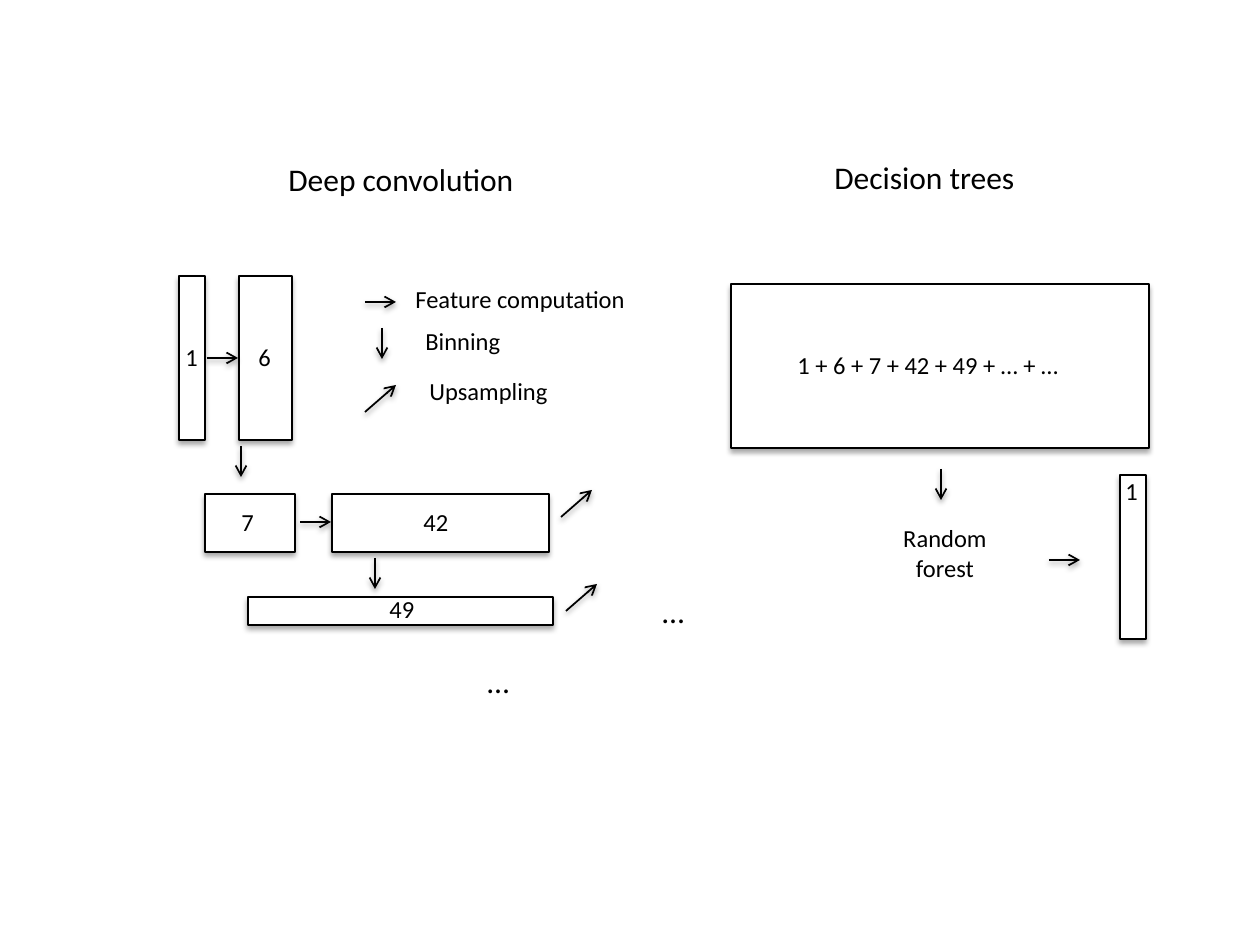
from lxml.etree import SubElement
from pptx import Presentation
from pptx.dml.color import RGBColor
from pptx.enum.shapes import MSO_CONNECTOR, MSO_SHAPE
from pptx.enum.text import MSO_AUTO_SIZE, PP_ALIGN
from pptx.oxml.ns import qn
from pptx.util import Emu, Pt

SCALE = 914400 / 126
BLACK, WHITE = "000000", "FFFFFF"

BOXES = [
    (179, 276, 26, 164),
    (239, 276, 53, 164),
    (205, 494, 90, 58),
    (332, 494, 217, 58),
    (248, 597, 305, 28),
    (731, 284, 418, 164),
    (1120, 475, 26, 164),
]
STEPS = {"right": (31, 0), "down": (0, 31), "up": (31, -27)}
ARROWS = {
    "right": [(207, 358), (365, 302), (300, 522), (1049, 560)],
    "down": [(382, 328), (241, 446), (375, 558), (941, 469)],
    "up": [(365, 412), (561, 517), (566, 611)],
}
LABELS = [
    ("1", 173, 336, 38),
    ("6", 246, 336, 38),
    ("7", 229, 501, 38),
    ("42", 411, 501, 50),
    ("49", 377, 588, 50),
    ("Feature computation", 403, 278, 238),
    ("Binning", 413, 320, 101),
    ("Upsampling", 417, 370, 145),
    ("1 + 6 + 7 + 42 + 49 + … + …", 785, 344, 289),
    ("Random\nforest", 890, 517, 110),
    ("1", 1113, 470, 38),
]
HEADS = [
    ("Deep convolution", 276, 154, 253),
    ("Decision trees", 822, 152, 208),
    ("…", 650, 586, 48),
    ("…", 475, 656, 48),
]


def px(*nums):
    return [Emu(round(n * SCALE)) for n in nums]


def color(code):
    return RGBColor.from_string(code)


def shade(shape, dist, alpha):
    props = shape._element.spPr
    effect = props.find(qn("a:effectLst"))
    if effect is None:
        effect = SubElement(props, qn("a:effectLst"))
    outer = SubElement(effect, qn("a:outerShdw"), blurRad=str(Pt(3.1)),
                       dist=str(Pt(dist)), dir="5400000", rotWithShape="0")
    tone = SubElement(outer, qn("a:srgbClr"), val=BLACK)
    SubElement(tone, qn("a:alpha"), val=str(alpha * 1000))


def stroke(shape, width):
    shape.line.color.rgb = color(BLACK)
    shape.line.width = Pt(width)


def box(slide, place):
    shape = slide.shapes.add_shape(MSO_SHAPE.RECTANGLE, *px(*place))
    shape.fill.solid()
    shape.fill.fore_color.rgb = color(WHITE)
    stroke(shape, 0.75)
    shape.shadow.inherit = False
    shade(shape, 1.8, 35)


def arrow(slide, start, step):
    (x, y), (dx, dy) = start, step
    line = slide.shapes.add_connector(
        MSO_CONNECTOR.STRAIGHT, *px(x, y, x + dx, y + dy))
    stroke(line, 1)
    SubElement(line.line._get_or_add_ln(), qn("a:tailEnd"), type="arrow")
    shade(line, 1.6, 38)


def label(slide, text, x, y, width, size):
    lines = text.count("\n") + 1
    height = 13 + round(lines * size * 2.1)
    frame = slide.shapes.add_textbox(*px(x, y, width, height)).text_frame
    frame.text = text
    frame.word_wrap = False
    frame.auto_size = MSO_AUTO_SIZE.SHAPE_TO_FIT_TEXT
    for para in frame.paragraphs:
        if lines > 1:
            para.alignment = PP_ALIGN.CENTER
        for run in para.runs:
            run.font.name = "Calibri"
            run.font.size = Pt(size)
            run.font.color.rgb = color(BLACK)


def main():
    deck = Presentation()
    deck.slide_width, deck.slide_height = px(1260, 945)
    slide = deck.slides.add_slide(deck.slide_layouts[6])
    for place in BOXES:
        box(slide, place)
    for way, starts in ARROWS.items():
        for start in starts:
            arrow(slide, start, STEPS[way])
    for size, items in ((14, LABELS), (18, HEADS)):
        for item in items:
            label(slide, *item, size)
    deck.save("out.pptx")


if __name__ == "__main__":
    main()
